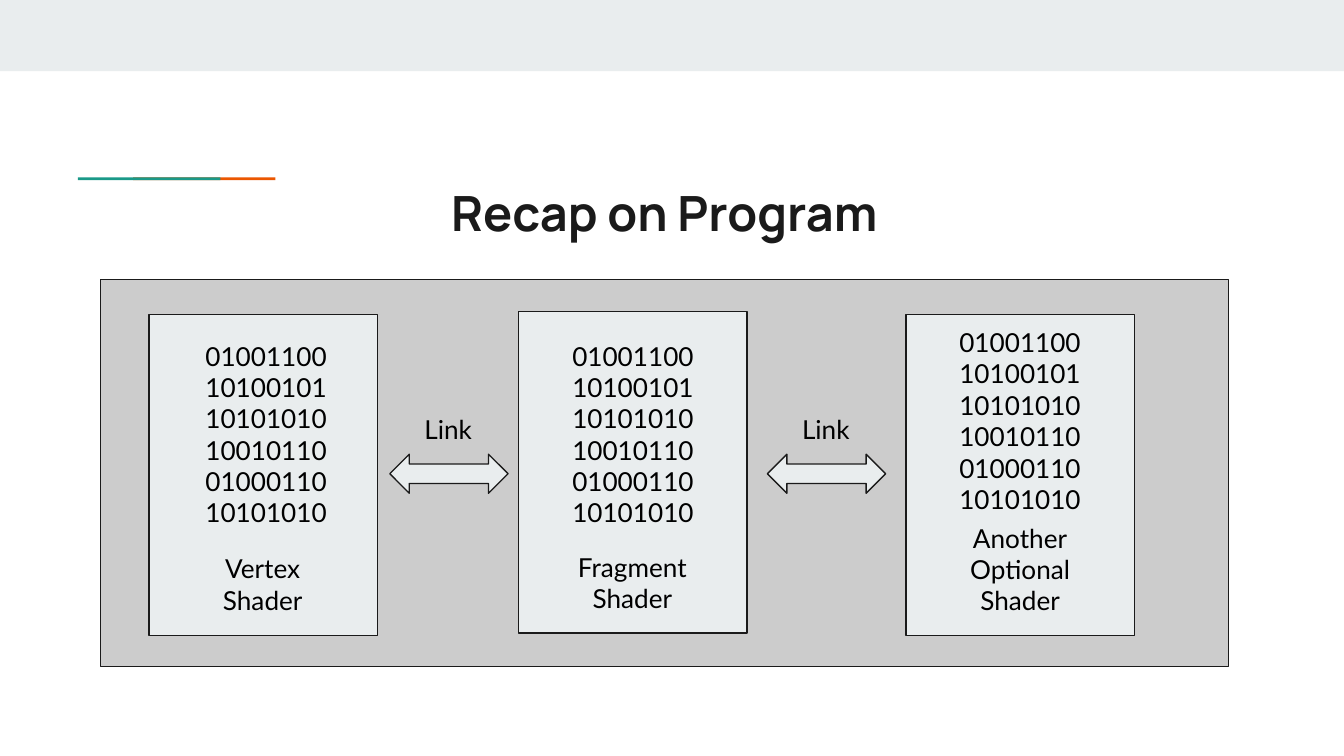
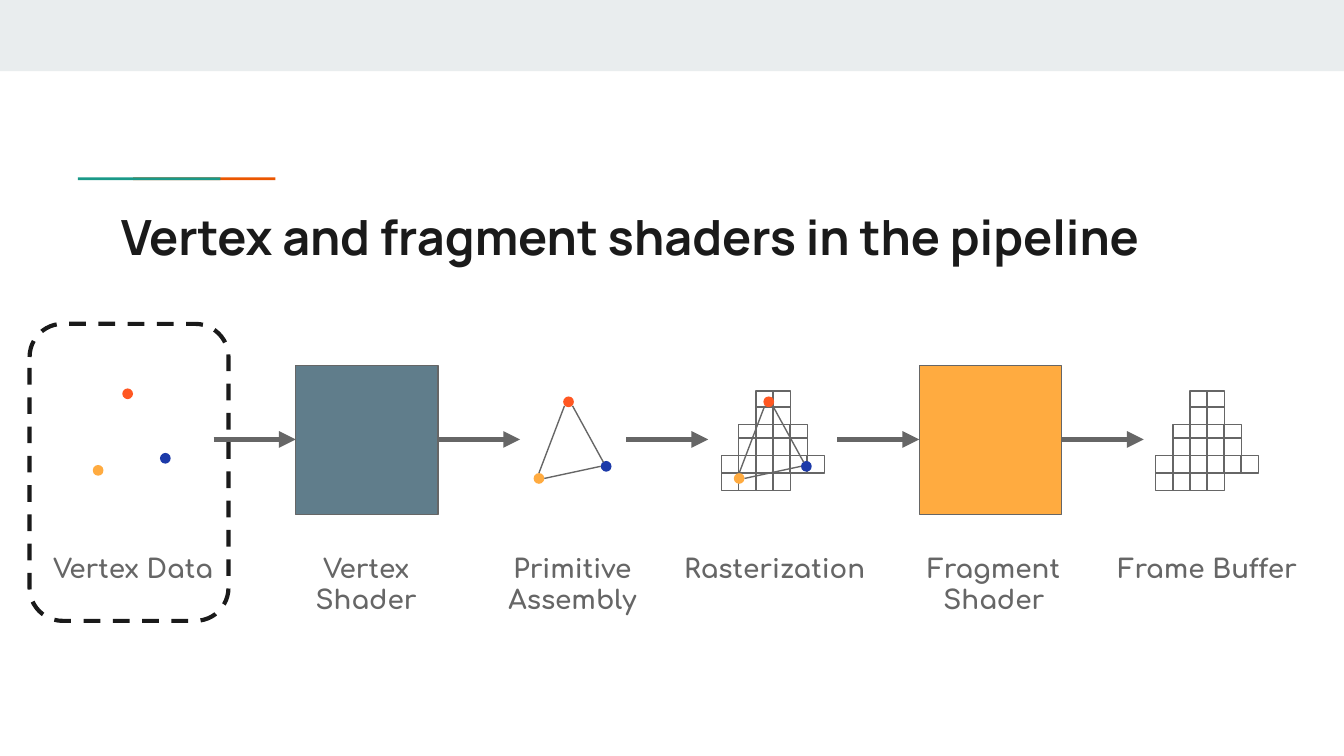
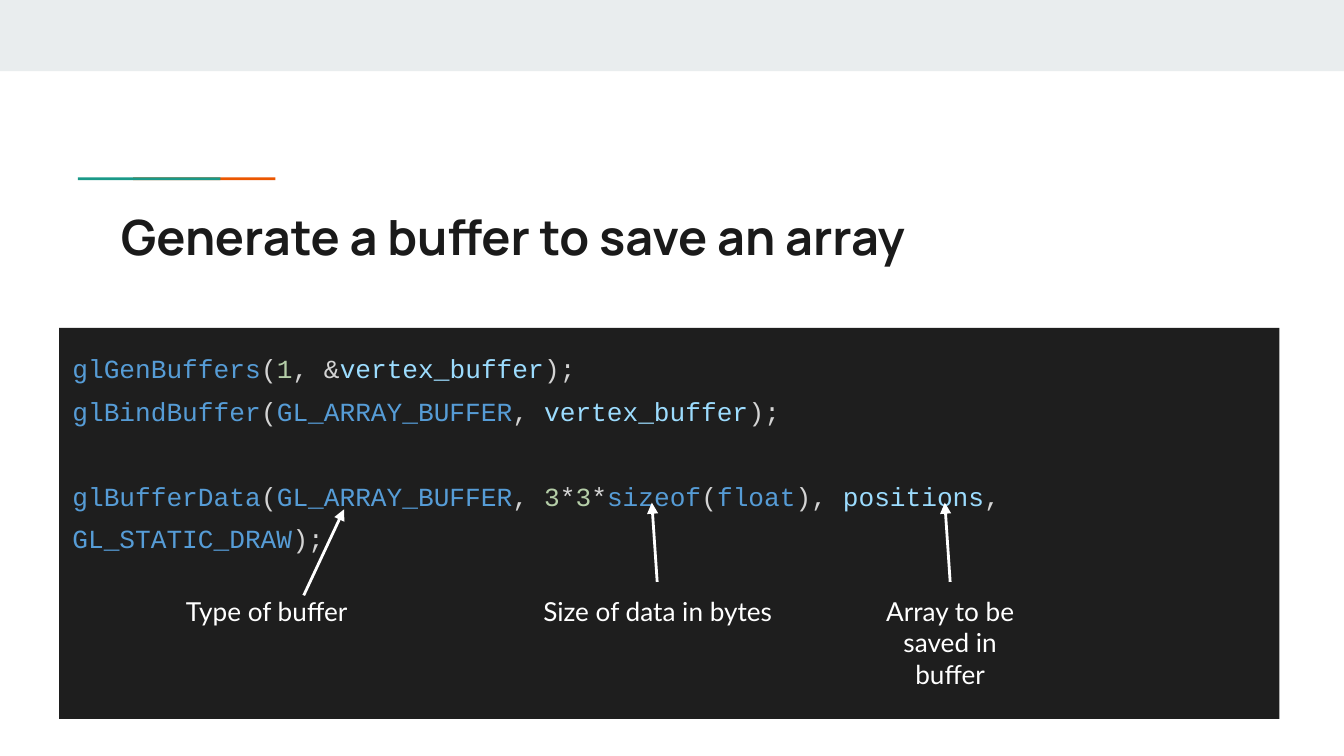
from lxml.etree import SubElement
from pptx import Presentation
from pptx.dml.color import RGBColor as RGB
from pptx.enum.dml import MSO_LINE as Dash
from pptx.enum.shapes import MSO_CONNECTOR as Connector, MSO_SHAPE as Shape
from pptx.enum.text import MSO_ANCHOR as Anchor, MSO_AUTO_SIZE as AutoSize, PP_ALIGN as Align
from pptx.oxml.ns import qn
from pptx.util import Inches, Pt

COLORS = {
    "band": "E9EDEE", "orange": "EB5600", "teal": "1A9988", "ink": "1A1A1A",
    "panel": "CCCCCC", "black": "000000", "white": "FFFFFF", "gray": "666666",
    "red dot": "FF5722", "blue dot": "1C3AA9", "amber": "FFAB40", "slate": "607D8B",
    "editor": "1E1E1E", "keyword": "569CD6", "plain": "D4D4D4",
    "number": "B5CEA8", "variable": "9CDCFE",
}
INSETS = {f"margin_{side}": Inches(0.1) for side in ("left", "top", "right", "bottom")}
FRAME = {**INSETS, "word_wrap": True, "auto_size": AutoSize.NONE, "vertical_anchor": Anchor.TOP}
MIDDLE = {**FRAME, "vertical_anchor": Anchor.MIDDLE}
CENTERED = {"alignment": Align.CENTER}
LATO = {"name": "Lato", "size": Pt(14), "bold": False}
TITLE_FONT = {"name": "Manrope", "size": Pt(26), "bold": True}
STYLES = {
    "title": (FRAME, {"alignment": Align.LEFT}, TITLE_FONT, "ink"),
    "centered title": (MIDDLE, CENTERED, TITLE_FONT, "ink"),
    "label": (MIDDLE, CENTERED, LATO, "black"),
    "stage": (FRAME, CENTERED, {"name": "Comfortaa", "size": Pt(14), "bold": True}, "gray"),
    "callout": (FRAME, CENTERED, LATO, "white"),
    "code": (FRAME, {"alignment": Align.LEFT, "line_spacing": 1.36},
             {"name": "Courier New", "size": Pt(14)}, "plain"),
}


def draw(shapes, kind, box, fill=None, line=None, weight=0.75):
    shape = shapes.add_shape(kind, *map(Inches, box))
    shape.shadow.inherit = False
    if fill:
        shape.fill.solid()
        shape.fill.fore_color.rgb = RGB.from_string(COLORS[fill])
    else:
        shape.fill.background()
    if line:
        shape.line.color.rgb = RGB.from_string(COLORS[line])
        shape.line.width = Pt(weight)
    else:
        shape.line.fill.background()
    return shape


def write(frame, lines, style):
    """Each line is a string or a list of (text, color) runs."""
    frame_format, paragraph_format, font_format, color = STYLES[style]
    for name, value in frame_format.items():
        setattr(frame, name, value)
    for number, line in enumerate(lines):
        paragraph = frame.add_paragraph() if number else frame.paragraphs[0]
        for name, value in paragraph_format.items():
            setattr(paragraph, name, value)
        for text, run_color in [(line, color)] if isinstance(line, str) else line:
            run = paragraph.add_run()
            run.text = text
            for name, value in font_format.items():
                setattr(run.font, name, value)
            run.font.color.rgb = RGB.from_string(COLORS[run_color])


# Widescreen 16:9
prs = Presentation()
prs.slide_width = Inches(10)
prs.slide_height = prs.slide_width * 9 // 16
layout = prs.slide_layouts[5]

# Slides and titles
slides = []
for title, style, box in (
    ("Recap on Program", "centered title", (3.03, 1.24, 3.83, 0.67)),
    ("Vertex and fragment shaders in the pipeline", "title", (0.8, 1.44, 8.41, 0.59)),
    ("Generate a buffer to save an array", "title", (0.8, 1.44, 8.41, 0.59)),
):
    slide = prs.slides.add_slide(layout)
    heading = slide.shapes.title
    heading.left, heading.top, heading.width, heading.height = map(Inches, box)
    write(heading.text_frame, [title], style)
    slides.append(slide)
recap, pipeline, buffer_code = (slide.shapes for slide in slides)

# Shared top band and accent rule, moved to the layout
for placeholder in list(layout.placeholders):
    if placeholder.placeholder_format.idx:
        layout.shapes.element.remove(placeholder.element)
decor = [
    draw(recap, Shape.RECTANGLE, box, fill)
    for box, fill in (
        ((0, 0, 10, 0.53), "band"),
        ((0.99, 1.32, 1.06, 0.02), "orange"),
        ((0.58, 1.32, 1.06, 0.02), "teal"),
    )
]
for part in decor:
    layout.shapes.element.append(part.element)

# Lines and arrows: shapes, start, end, color, weight, arrowhead
links = []

# Slide 1: linked shader binaries
draw(recap, Shape.RECTANGLE, (0.75, 2.08, 8.39, 2.88), "panel", "ink")
BINARY = "010011001010010110101010100101100100011010101010"
for card, name, name_box, bits_at in (
    ((1.11, 2.34), ["Vertex Shader"], (1.26, 4.11, 1.39, 0.47), (1.39, 2.51)),
    ((3.86, 2.32), ["Fragment Shader"], (4.01, 4.1, 1.39, 0.47), (4.12, 2.51)),
    ((6.74, 2.34), ["Another", "Optional Shader"], (6.85, 3.9, 1.48, 0.67), (7, 2.41)),
):
    draw(recap, Shape.RECTANGLE, (*card, 1.7, 2.39), "band", "ink")
    for lines, box in ((name, name_box), ([BINARY], (*bits_at, 1.18, 1.44))):
        write(recap.add_textbox(*map(Inches, box)).text_frame, lines, "label")
for left in (2.9, 5.71):
    draw(recap, Shape.LEFT_RIGHT_ARROW, (left, 3.38, 0.88, 0.29), "band", "ink")
    link_label = recap.add_textbox(*map(Inches, (left + 0.13, 3.05, 0.61, 0.29)))
    write(link_label.text_frame, ["Link"], "label")

# Slide 2: shader stages
for left, fill in ((2.2, "slate"), (6.84, "amber")):
    draw(pipeline, Shape.RECTANGLE, (left, 2.72, 1.06, 1.11), fill, "gray")
for name, left, width in (
    ("Vertex Data", 0.25, 1.48), ("Vertex Shader", 2.24, 0.97),
    ("Primitive Assembly", 3.68, 1.16), ("Rasterization", 4.99, 1.55),
    ("Fragment Shader", 6.77, 1.25), ("Frame Buffer", 8.21, 1.55),
):
    stage = pipeline.add_textbox(*map(Inches, (left, 4.01, width, 0.65)))
    write(stage.text_frame, [name], "stage")
for left in (1.59, 3.26, 4.66, 6.23, 7.9):
    links.append((pipeline, (left, 3.27), (left + 0.61, 3.27), "gray", 3, True))

# Pixel grids: row top, first column, number of cells
PIXEL_ROWS = ((2.91, 2, 2), (3.03, 2, 2), (3.16, 1, 4), (3.26, 1, 4), (3.39, 0, 6), (3.52, 0, 4))
for left in (5.37, 8.6):
    pixels = pipeline.add_group_shape().shapes
    for top, first, count in PIXEL_ROWS:
        for column in range(first, first + count):
            draw(pixels, Shape.RECTANGLE, (left + column * 0.127, top, 0.13, 0.13), "white", "gray")

# Vertices, joined into a triangle after assembly
VERTICES = ((0.22, 0, "red dot"), (0.5, 0.48, "blue dot"), (0, 0.57, "amber"))
EDGES = (((0.29, 0.07), (0.52, 0.49)), ((0.08, 0.61), (0.5, 0.52)), ((0.23, 0.07), (0.04, 0.57)))
for left, top, joined in ((0.69, 2.89, False), (3.97, 2.95, True), (5.46, 2.95, True)):
    triangle = pipeline.add_group_shape().shapes
    for x, y, fill in VERTICES:
        draw(triangle, Shape.OVAL, (left + x, top + y, 0.08, 0.08), fill)
    for edge in EDGES if joined else ():
        start, end = ((left + x, top + y) for x, y in edge)
        links.append((triangle, start, end, "gray", 0.75, False))

focus = draw(pipeline, Shape.ROUNDED_RECTANGLE, (0.22, 2.41, 1.48, 2.21), None, "ink", 2.25)
focus.line.dash_style = Dash.DASH

# Slide 3: code listing
CODE = [
    [("glGenBuffers", "keyword"), ("(", "plain"), ("1", "number"), (", &", "plain"),
     ("vertex_buffer", "variable"), (");", "plain")],
    [("glBindBuffer", "keyword"), ("(", "plain"), ("GL_ARRAY_BUFFER", "keyword"),
     (", ", "plain"), ("vertex_buffer", "variable"), (");", "plain")],
    [("glBufferData", "keyword"), ("(", "plain"), ("GL_ARRAY_BUFFER", "keyword"),
     (", ", "plain"), ("3", "number"), ("*", "plain"), ("3", "number"), ("*", "plain"),
     ("sizeof", "keyword"), ("(", "plain"), ("float", "keyword"), ("), ", "plain"),
     ("positions", "variable"), (", ", "plain"), ("GL_STATIC_DRAW", "keyword"), (");", "plain")],
]
listing = draw(buffer_code, Shape.RECTANGLE, (0.44, 2.44, 9.08, 2.91), "editor").text_frame
write(listing, CODE, "code")
listing.paragraphs[2].space_before = Pt(22.5)

# Callouts pointing at the arguments
for note, box, start, end in (
    ("Type of buffer", (1.22, 4.33, 1.53, 0.44), (2.26, 4.43), (2.56, 3.79)),
    ("Size of data in bytes", (3.91, 4.33, 1.97, 0.44), (4.89, 4.33), (4.85, 3.74)),
    ("Array to be saved in buffer", (6.37, 4.33, 1.4, 0.71), (7.07, 4.33), (7.03, 3.74)),
):
    write(buffer_code.add_textbox(*map(Inches, box)).text_frame, [note], "callout")
    links.append((buffer_code, start, end, "white", 1.5, True))

# Draw the lines and arrows
for shapes, start, end, color, weight, arrowhead in links:
    link = shapes.add_connector(Connector.STRAIGHT, *map(Inches, (*start, *end)))
    link.line.color.rgb = RGB.from_string(COLORS[color])
    link.line.width = Pt(weight)
    properties = link.element.spPr
    if arrowhead:
        SubElement(properties.find(qn("a:ln")), qn("a:tailEnd"), type="triangle")
    SubElement(properties, qn("a:effectLst"))

prs.save("out.pptx")
